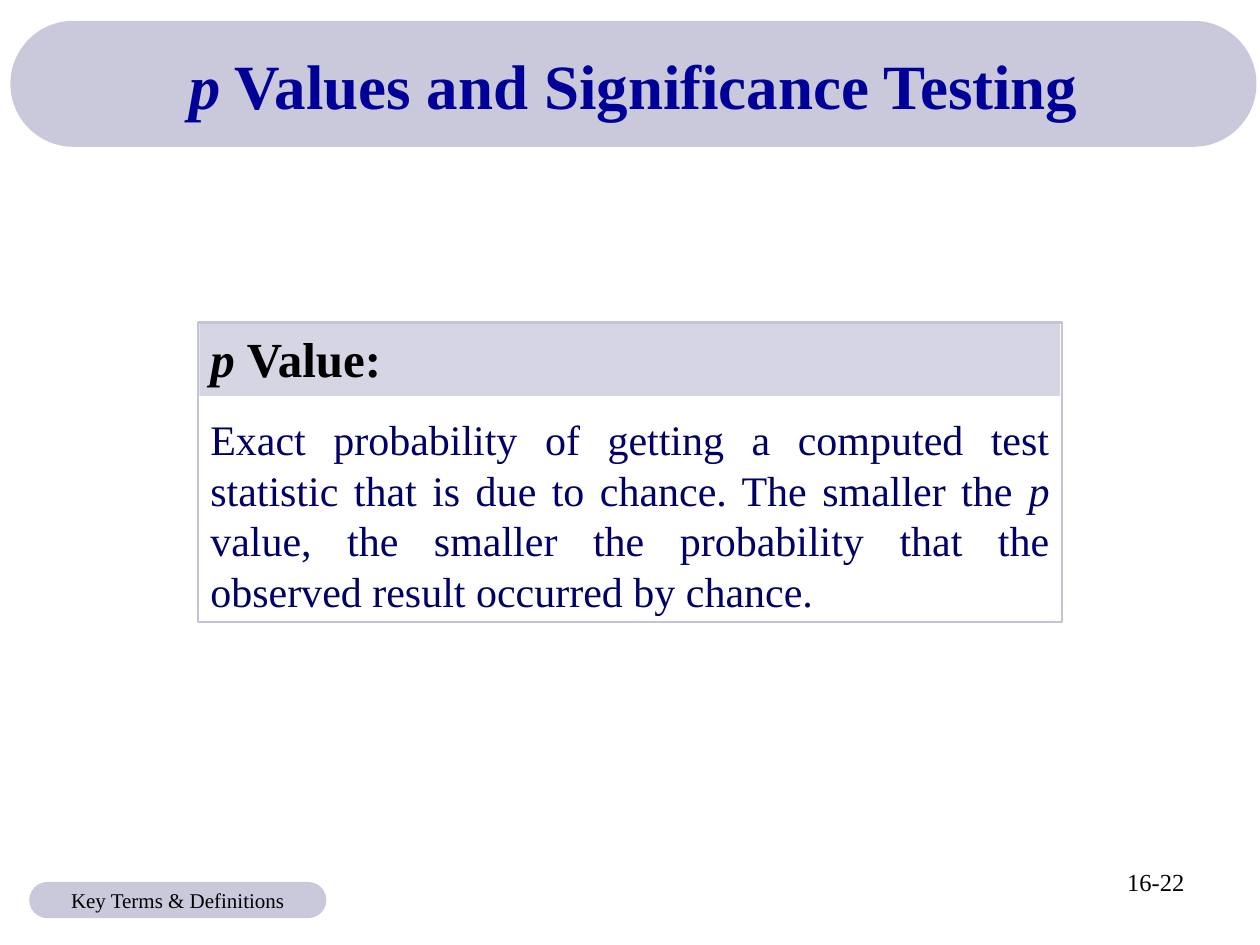
from lxml import etree
from pptx import Presentation
from pptx import util as u
from pptx.dml.color import RGBColor
from pptx.enum import shapes, text
from pptx.oxml.ns import qn

FONT = "Times New Roman"
PILL_COLOUR = "9595B9"


def colour(value):
    """Turn a hex string into a colour."""
    return RGBColor.from_string(value)


def place(shape, left, top, width, height):
    """Move and size a shape in centimetres."""
    shape.left, shape.top = u.Cm(left), u.Cm(top)
    shape.width, shape.height = u.Cm(width), u.Cm(height)


def add_tint(page, kind, area, fill):
    """Add a half-transparent shape without an outline."""
    shape = page.shapes.add_shape(kind, *map(u.Cm, area))
    shape.shadow.inherit = False
    shape.line.fill.background()
    shape.fill.solid()
    shape.fill.fore_color.rgb = colour(fill)
    tint = shape.fill._xPr.find(qn("a:solidFill"))[0]
    etree.SubElement(tint, qn("a:alpha")).set("val", "50000")
    return shape


def add_pill(page, area):
    """Add a tinted bar with fully rounded ends."""
    pill = add_tint(page, shapes.MSO_SHAPE.ROUNDED_RECTANGLE, area, PILL_COLOUR)
    pill.adjustments[0] = 0.5
    return pill


def write(para, spans, size, ink, align, bold=False):
    """Fill a paragraph with (wording, italic) spans in one style."""
    para.alignment = align
    for wording, italic in spans:
        span = para.add_run()
        span.text = wording
        span.font.italic = italic
    font = para.font
    font.name, font.size, font.bold = FONT, u.Pt(size), bold
    font.color.rgb = colour(ink)


def set_frame(shape, anchor, wrap=True):
    """Set the anchor, margins and wrapping of a shape's text."""
    frame = shape.text_frame
    frame.word_wrap = wrap
    frame.auto_size = text.MSO_AUTO_SIZE.NONE
    frame.vertical_anchor = anchor
    frame.margin_left = frame.margin_right = u.Cm(0.25)
    frame.margin_top = frame.margin_bottom = u.Cm(0.13)
    return frame


def add_title(page, area):
    """Set the title on top of its pill."""
    add_pill(page, area)
    title = page.shapes.title
    page.shapes._spTree.append(title._element)
    place(title, *area)
    frame = set_frame(title, text.MSO_ANCHOR.MIDDLE)
    write(frame.paragraphs[0],
          [("p", True), (" Values and Significance Testing", False)],
          36, "000099", text.PP_ALIGN.CENTER, bold=True)


def add_definition(page, area):
    """Add the outlined box with the term and its definition."""
    box = page.shapes.add_shape(shapes.MSO_SHAPE.RECTANGLE, *map(u.Cm, area))
    box.shadow.inherit = False
    box.fill.background()
    box.line.color.rgb = colour("C4C4D8")
    box.line.width = u.Pt(1.5)
    frame = set_frame(box, text.MSO_ANCHOR.TOP)
    term, meaning = frame.paragraphs[0], frame.add_paragraph()
    write(term, [("p ", True), ("Value:", False)],
          28, "000000", text.PP_ALIGN.JUSTIFY, bold=True)
    write(meaning,
          [("Exact probability of getting a computed test statistic that is "
            "due to chance. The smaller the ", False),
           ("p", True),
           (" value, the smaller the probability that the observed result "
            "occurred by chance.", False)],
          24, "000066", text.PP_ALIGN.JUSTIFY)
    meaning.space_before = u.Pt(15)


def add_page_number(page, area):
    """Add the page number at the lower right."""
    box = page.shapes.add_textbox(*map(u.Cm, area))
    frame = set_frame(box, text.MSO_ANCHOR.TOP)
    write(frame.paragraphs[0], [("16-22", False)],
          14, "000000", text.PP_ALIGN.RIGHT)


def add_section_label(page, area):
    """Add the section label at the lower left."""
    pill = add_pill(page, area)
    frame = set_frame(pill, text.MSO_ANCHOR.MIDDLE, wrap=False)
    write(frame.paragraphs[0], [("Key Terms & Definitions", False)],
          12, "000000", text.PP_ALIGN.CENTER)


def main():
    """Build the slide and save it."""
    deck = Presentation()
    deck.slide_width, deck.slide_height = u.Cm(25.4), u.Cm(19.05)
    page = deck.slides.add_slide(deck.slide_layouts[5])
    add_tint(page, shapes.MSO_SHAPE.RECTANGLE, (4.02, 6.5, 17.35, 1.48), "ACACC8")
    add_title(page, (0.21, 0.42, 25.12, 2.54))
    add_definition(page, (3.99, 6.5, 17.42, 6.04))
    add_page_number(page, (18.2, 17.35, 5.93, 1.32))
    add_section_label(page, (0.59, 17.78, 5.99, 0.73))
    deck.save("out.pptx")


if __name__ == "__main__":
    main()
